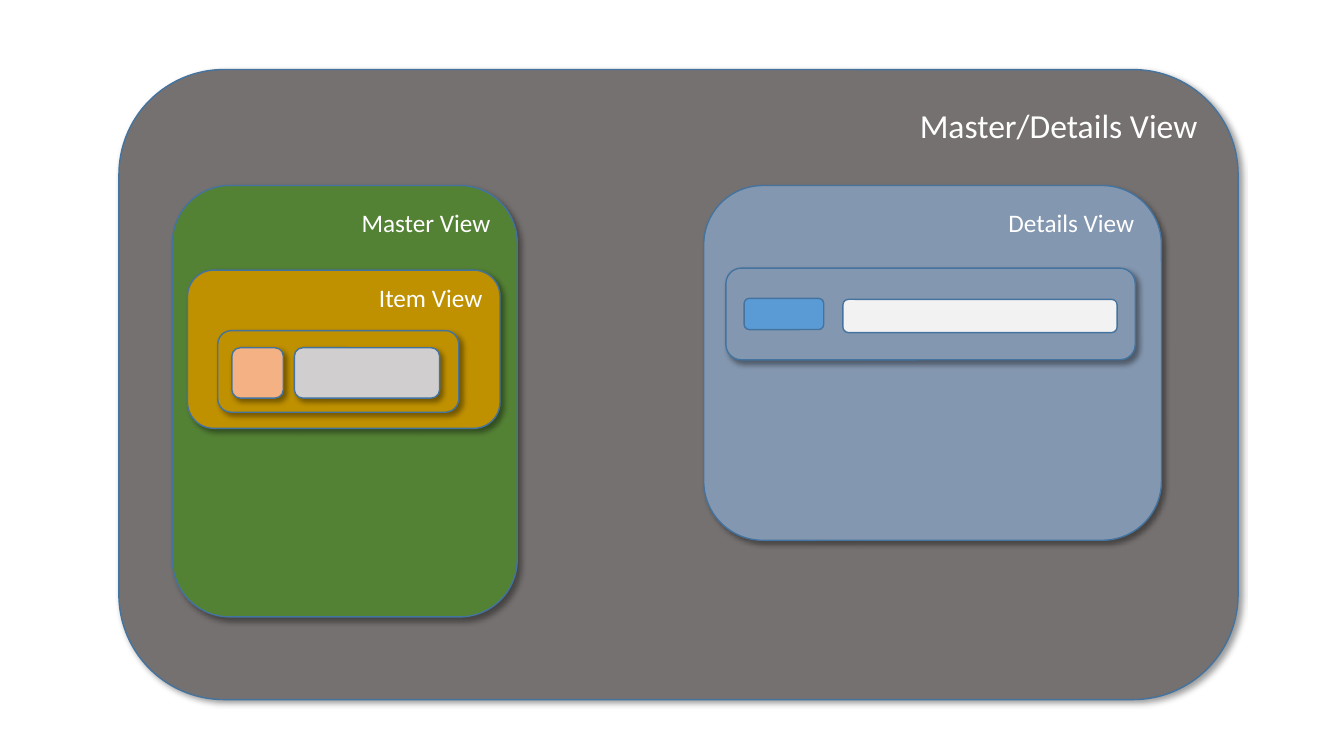
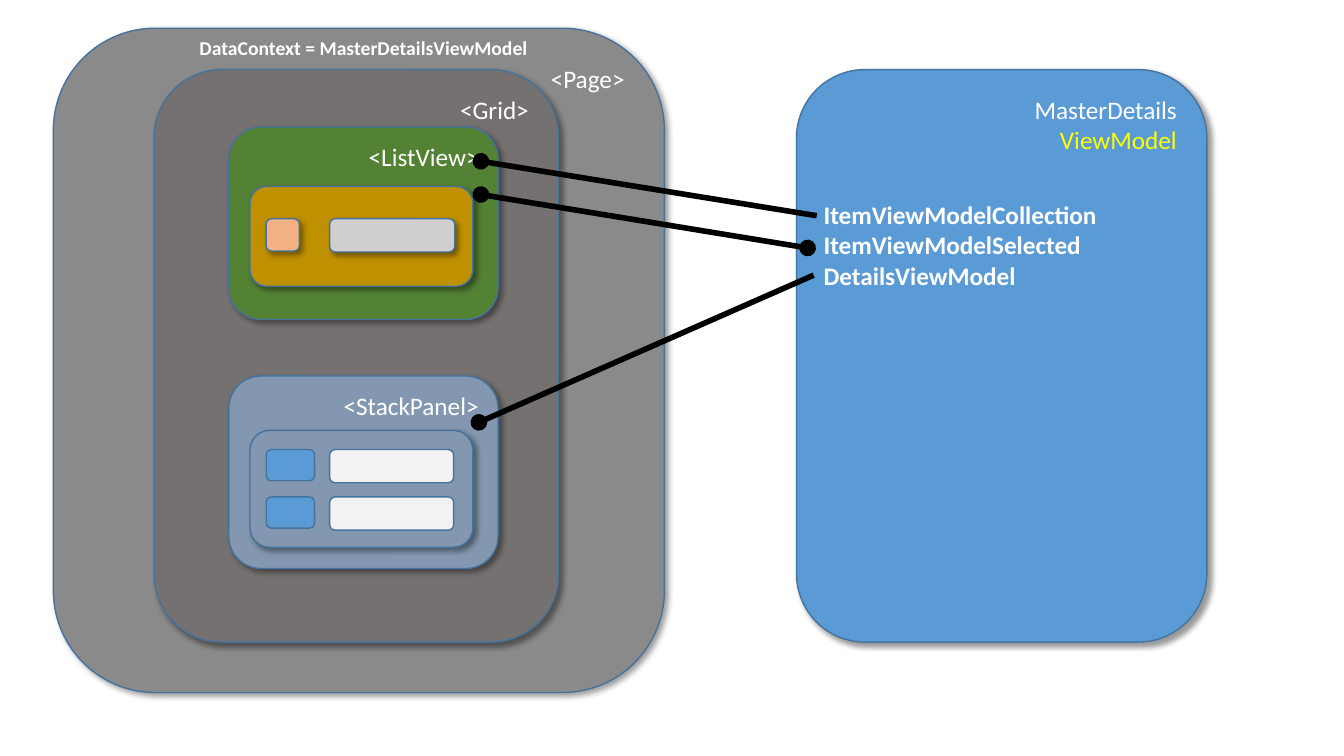
from lxml import etree
from pptx import Presentation
from pptx.dml.color import RGBColor as RGB
from pptx.enum.shapes import MSO_CONNECTOR as LINK, MSO_SHAPE as SHAPE
from pptx.enum.text import MSO_ANCHOR as ANCHOR, PP_ALIGN as ALIGN
from pptx.oxml.ns import qn
from pptx.util import Emu, Pt

# Shared style
PX = 9144  # 100 px to the inch
FONT = "Calibri"
WHITE = RGB(0xFF, 0xFF, 0xFF)
YELLOW = RGB(0xFF, 0xFF, 0x00)
BLACK = RGB(0x00, 0x00, 0x00)
EDGE = RGB(0x43, 0x73, 0x9E)
SILVER = RGB(0x8A, 0x8A, 0x8A)
GRAY = RGB(0x76, 0x71, 0x71)
GREEN = RGB(0x54, 0x82, 0x35)
GOLD = RGB(0xBF, 0x90, 0x00)
SLATE = RGB(0x84, 0x97, 0xB0)
BLUE = RGB(0x5B, 0x9B, 0xD5)
PEACH = RGB(0xF4, 0xB1, 0x83)
ASH = RGB(0xD0, 0xCE, 0xCE)
PALE = RGB(0xF2, 0xF2, 0xF2)


def px(*sizes):
    return [Emu(size * PX) for size in sizes]


def write(frame, lines, size, bold=False, align=ALIGN.LEFT):
    """Fill a text frame with (text, colour) lines."""
    frame.vertical_anchor = ANCHOR.TOP
    for i, (text, color) in enumerate(lines):
        para = frame.add_paragraph() if i else frame.paragraphs[0]
        para.text = text
        para.alignment = align
        font = para.font
        font.name, font.size, font.bold = FONT, Pt(size), bold
        font.color.rgb = color


def cast(shape):
    """Give a shape a soft shadow to the lower right."""
    effects = shape._element.spPr.find(qn("a:effectLst"))
    outer = etree.SubElement(effects, qn("a:outerShdw"), blurRad=str(Pt(4)),
                             dist=str(Pt(3)), dir="2700000", algn="tl",
                             rotWithShape="0")
    color = etree.SubElement(outer, qn("a:srgbClr"), val=str(BLACK))
    etree.SubElement(color, qn("a:alpha"), val="40000")


def box(slide, place, fill, *lines, size=18, raised=True):
    """Draw a rounded box with its label at the top right."""
    shape = slide.shapes.add_shape(SHAPE.ROUNDED_RECTANGLE, *px(*place))
    shape.fill.solid()
    shape.fill.fore_color.rgb = fill
    shape.line.color.rgb = EDGE
    shape.line.width = Pt(1)
    shape.shadow.inherit = False
    if raised:
        cast(shape)
    write(shape.text_frame, lines, size, align=ALIGN.RIGHT)


def note(slide, place, size, *texts):
    """Place bold white text."""
    frame = slide.shapes.add_textbox(*px(*place)).text_frame
    frame.word_wrap = False
    write(frame, [(text, WHITE) for text in texts], size, bold=True)


def link(slide, start, end, heads):
    """Draw a thick line with round ends where named."""
    line = slide.shapes.add_connector(LINK.STRAIGHT, *px(*start, *end))
    line.line.color.rgb = BLACK
    line.line.width = Pt(4)
    props = line._element.spPr
    for head in heads:
        etree.SubElement(props.find(qn("a:ln")), qn(f"a:{head}"), type="oval")
    etree.SubElement(props, qn("a:effectLst"))


def item(slide, icon, text):
    box(slide, icon, PEACH)
    box(slide, text, ASH)


def field(slide, label, value):
    box(slide, label, BLUE, raised=False)
    box(slide, value, PALE, raised=False)


def draw_views(slide):
    box(slide, (118, 69, 1110, 625), GRAY, ("Master/Details View", WHITE), size=24)
    # Master side
    box(slide, (171, 184, 342, 428), GREEN, ("Master View", WHITE))
    box(slide, (186, 268, 310, 157), GOLD, ("Item View", WHITE))
    box(slide, (216, 328, 239, 81), GOLD)
    item(slide, (230, 345, 51, 50), (292, 345, 144, 50))
    # Details side
    box(slide, (698, 184, 454, 352), SLATE, ("Details View", WHITE))
    box(slide, (720, 266, 406, 91), SLATE)
    field(slide, (738, 296, 79, 31), (836, 297, 272, 33))


def draw_model(slide):
    # Page and view model
    box(slide, (53, 28, 606, 659), SILVER, ("<Page>", WHITE))
    box(slide, (790, 69, 407, 568), BLUE, ("MasterDetails", WHITE),
        ("ViewModel", YELLOW))
    note(slide, (807, 193, 293, 162), 18, "ItemViewModelCollection",
         "ItemViewModelSelected", "DetailsViewModel")
    box(slide, (153, 69, 401, 568), GRAY, ("<Grid>", WHITE))
    # List
    box(slide, (227, 126, 267, 191), GREEN, ("<ListView>", WHITE))
    box(slide, (248, 185, 221, 99), GOLD)
    item(slide, (264, 217, 33, 32), (327, 217, 124, 33))
    # Panel
    box(slide, (227, 373, 267, 191), SLATE, ("<StackPanel>", WHITE))
    box(slide, (248, 427, 221, 116), SLATE)
    for top in (446, 493):
        field(slide, (264, top, 48, 31), (327, top, 123, 33))
    # Bindings
    link(slide, (810, 214), (477, 160), ["tailEnd"])
    link(slide, (807, 273), (475, 419), ["tailEnd"])
    link(slide, (801, 246), (477, 193), ["headEnd", "tailEnd"])
    note(slide, (188, 31, 348, 34), 14, "DataContext = MasterDetailsViewModel")


def main():
    deck = Presentation()
    deck.slide_width, deck.slide_height = px(1333, 750)
    blank = deck.slide_layouts[6]
    for draw in (draw_views, draw_model):
        draw(deck.slides.add_slide(blank))
    deck.save("out.pptx")


if __name__ == "__main__":
    main()
